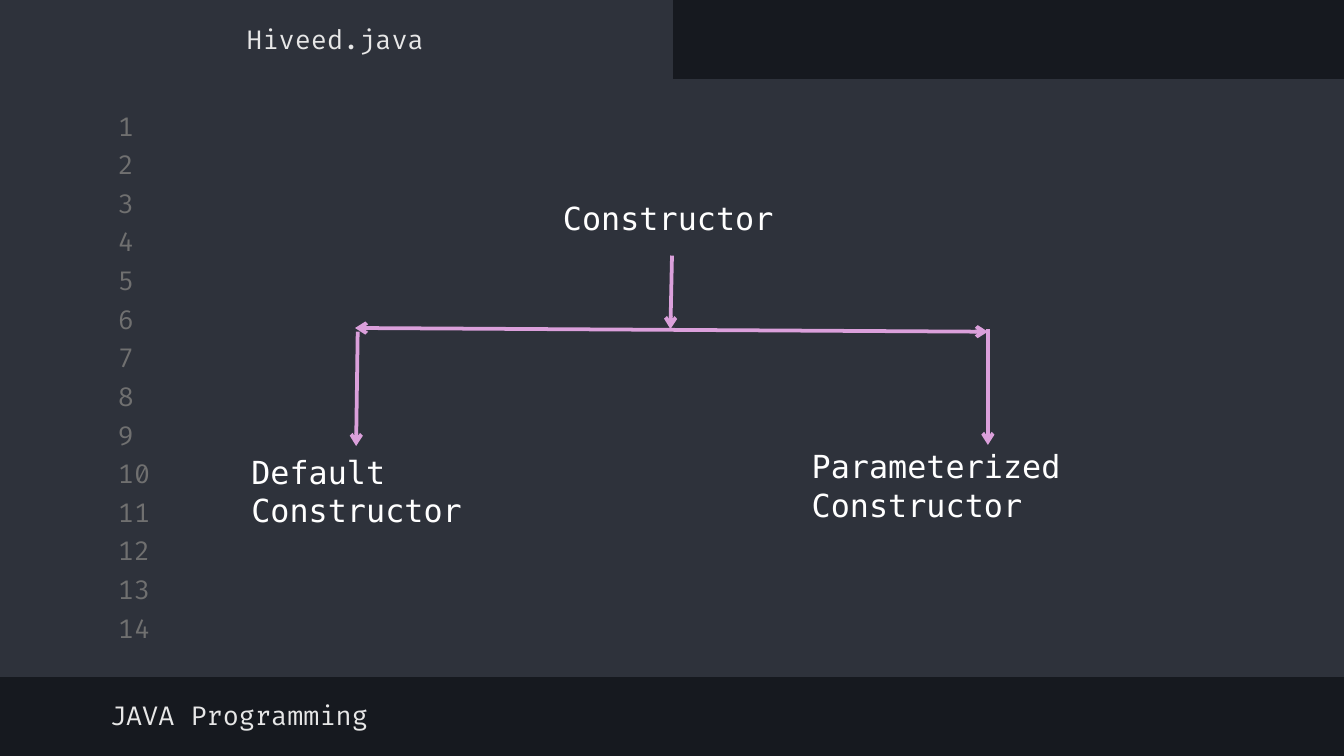
from dataclasses import dataclass
from lxml.etree import SubElement
from pptx import Presentation
from pptx.dml.color import RGBColor
from pptx.enum.shapes import MSO_CONNECTOR, MSO_SHAPE
from pptx.enum.text import MSO_ANCHOR, MSO_AUTO_SIZE, PP_ALIGN
from pptx.oxml.ns import qn
from pptx.util import Cm, Pt


@dataclass(frozen=True)
class Theme:
    back: RGBColor = RGBColor(0x16, 0x19, 0x1F)
    panel: RGBColor = RGBColor(0x2E, 0x32, 0x3B)
    number: RGBColor = RGBColor(0x70, 0x70, 0x70)
    title: RGBColor = RGBColor(0xE7, 0xE7, 0xE7)
    label: RGBColor = RGBColor(0xFF, 0xFF, 0xFF)
    arrow: RGBColor = RGBColor(0xDB, 0xA0, 0xDB)
    code: str = "Fira Code"
    mono: str = "DejaVu Sans Mono"
    small: Pt = Pt(14)
    large: Pt = Pt(17)
    edge: Pt = Pt(0.75)
    stroke: Pt = Pt(2)


class Board:
    def __init__(self, slide, theme):
        self.slide = slide
        self.theme = theme
        fill = slide.background.fill
        fill.solid()
        fill.fore_color.rgb = theme.back

    def panel(self, left, top, width, height):
        shape = self.slide.shapes.add_shape(
            MSO_SHAPE.RECTANGLE, Cm(left), Cm(top), Cm(width), Cm(height))
        shape.shadow.inherit = False
        shape.fill.solid()
        shape.fill.fore_color.rgb = self.theme.panel
        shape.line.color.rgb = self.theme.panel
        shape.line.width = self.theme.edge

    def text(self, words, left, top, width, height, face, size, color):
        box = self.slide.shapes.add_textbox(
            Cm(left), Cm(top), Cm(width), Cm(height))
        frame = box.text_frame
        frame.word_wrap = True
        line = frame.paragraphs[0]
        line.text = words
        line.font.name = face
        line.font.size = size
        line.font.color.rgb = color
        return frame

    def code(self, words, left, top, width, height, color, align=PP_ALIGN.LEFT):
        frame = self.text(words, left, top, width, height,
                          self.theme.code, self.theme.small, color)
        frame.vertical_anchor = MSO_ANCHOR.MIDDLE
        frame.margin_top = frame.margin_bottom = Cm(0.25)
        frame.paragraphs[0].alignment = align

    def label(self, words, left, top, width):
        frame = self.text(words, left, top, width, 0.99,
                          self.theme.mono, self.theme.large, self.theme.label)
        frame.auto_size = MSO_AUTO_SIZE.SHAPE_TO_FIT_TEXT

    def arrow(self, start, end, ends=("tailEnd",)):
        link = self.slide.shapes.add_connector(
            MSO_CONNECTOR.STRAIGHT, *map(Cm, start + end))
        link.line.color.rgb = self.theme.arrow
        link.line.width = self.theme.stroke
        props = link.line._get_or_add_ln()
        for end_tag in ends:
            SubElement(props, qn(f"a:{end_tag}"), type="arrow")
        SubElement(link._element.spPr, qn("a:effectLst"))


def main():
    deck = Presentation()
    deck.slide_width, deck.slide_height = Cm(25.4), Cm(14.29)
    theme = Theme()
    board = Board(deck.slides.add_slide(deck.slide_layouts[6]), theme)

    board.panel(0, 1.5, 25.4, 11.28)
    board.panel(0, 0, 12.7, 1.65)

    for row in range(14):
        board.code(str(row + 1), 1.98, 2.07 + 0.73 * row, 1.19, 0.61, theme.number)

    board.code("JAVA Programming", 1.83, 13.03, 13.51, 0.99, theme.title)
    board.code("Hiveed.java", 0, 0.25, 12.67, 0.99, theme.title, PP_ALIGN.CENTER)

    board.label("Constructor", 10.39, 3.63, 7.16)
    board.arrow((12.7, 4.83), (12.67, 6.22))
    board.arrow((6.71, 6.2), (18.67, 6.27), ("headEnd", "tailEnd"))
    board.arrow((6.76, 6.27), (6.73, 8.43))
    board.arrow((18.67, 6.22), (18.67, 8.41))
    board.label("Default Constructor", 4.5, 8.43, 7.16)
    board.label("Parameterized Constructor", 15.09, 8.33, 9.27)

    deck.save("out.pptx")


if __name__ == "__main__":
    main()
